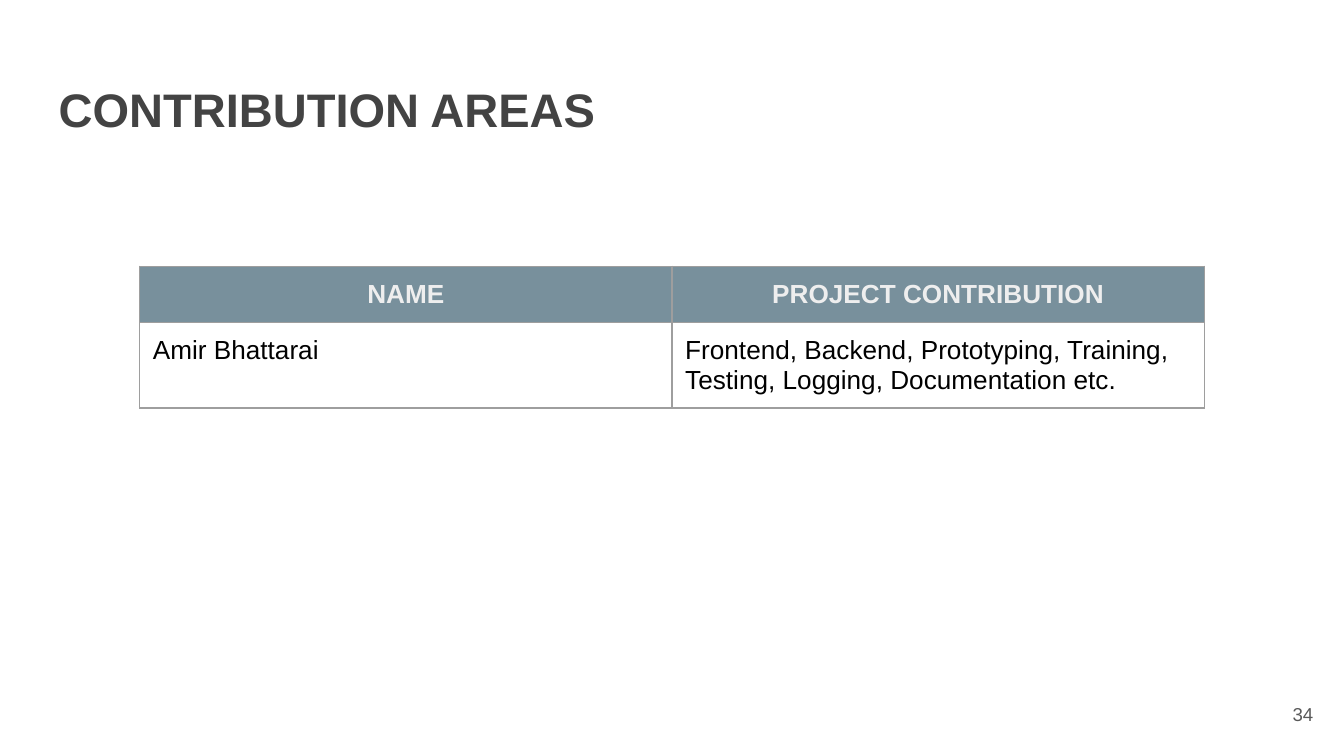
from lxml.etree import SubElement
from pptx import Presentation
from pptx.dml.color import RGBColor
from pptx.enum.text import MSO_ANCHOR as ANCHOR, PP_ALIGN as ALIGN
from pptx.oxml.ns import qn
from pptx.util import Cm, Pt

TITLE = "CONTRIBUTION AREAS"
PAGE = "34"
ROWS = [
    ("NAME", "PROJECT CONTRIBUTION"),
    ("Amir Bhattarai",
     "Frontend, Backend, Prototyping, Training, Testing, Logging, Documentation etc."),
]

DARK = RGBColor(0x43, 0x43, 0x43)
GREY = RGBColor(0x59, 0x59, 0x59)
BORDER = RGBColor(0x9E, 0x9E, 0x9E)
HEADER = RGBColor(0x78, 0x90, 0x9C)
LIGHT = RGBColor(0xEE, 0xEE, 0xEE)
BLACK = RGBColor(0, 0, 0)
FONT = "Arial"
INSET = Cm(0.25)
COL_W, ROW_H = Cm(10.06), Cm(1.07)


def set_insets(box):
    box.margin_left = box.margin_right = INSET
    box.margin_top = box.margin_bottom = INSET


def write(tf, text, size, color, bold=False, align=ALIGN.LEFT):
    tf.text = text
    p = tf.paragraphs[0]
    p.alignment = align
    font = p.runs[0].font
    font.name, font.size, font.bold = FONT, Pt(size), bold
    font.color.rgb = color


def add_borders(cell):
    tc_pr = cell._tc.get_or_add_tcPr()
    for i, side in enumerate(("lnL", "lnR", "lnT", "lnB")):
        ln = SubElement(tc_pr, qn(f"a:{side}"), w=str(Pt(0.75)))
        fill = SubElement(ln, qn("a:solidFill"))
        SubElement(fill, qn("a:srgbClr"), val=str(BORDER))
        tc_pr.insert(i, ln)


prs = Presentation()
prs.slide_width, prs.slide_height = Cm(25.4), Cm(14.29)
s = prs.slides.add_slide(prs.slide_layouts[5])

title = s.shapes.title
title.left, title.top, title.width, title.height = Cm(0.86), Cm(1.24), Cm(23.67), Cm(1.6)
tf = title.text_frame
tf.word_wrap = True
tf.vertical_anchor = ANCHOR.BOTTOM
set_insets(tf)
write(tf, TITLE, 25.2, DARK, bold=True)

table = s.shapes.add_table(len(ROWS), len(ROWS[0]), Cm(2.64), Cm(5.03),
                           COL_W * len(ROWS[0]), ROW_H * len(ROWS)).table
table.horz_banding = False
for col in table.columns:
    col.width = COL_W
for r, row in enumerate(ROWS):
    table.rows[r].height = ROW_H
    for c, text in enumerate(row):
        cell = table.cell(r, c)
        set_insets(cell)
        if r == 0:
            cell.fill.solid()
            cell.fill.fore_color.rgb = HEADER
            write(cell.text_frame, text, 14, LIGHT, bold=True, align=ALIGN.CENTER)
        else:
            cell.fill.background()
            write(cell.text_frame, text, 14, BLACK)
        add_borders(cell)

number = s.shapes.add_textbox(Cm(23.55), Cm(12.95), Cm(1.52), Cm(1.09))
tf = number.text_frame
tf.word_wrap = True
tf.vertical_anchor = ANCHOR.MIDDLE
set_insets(tf)
write(tf, PAGE, 10, GREY, align=ALIGN.RIGHT)

prs.save("out.pptx")
